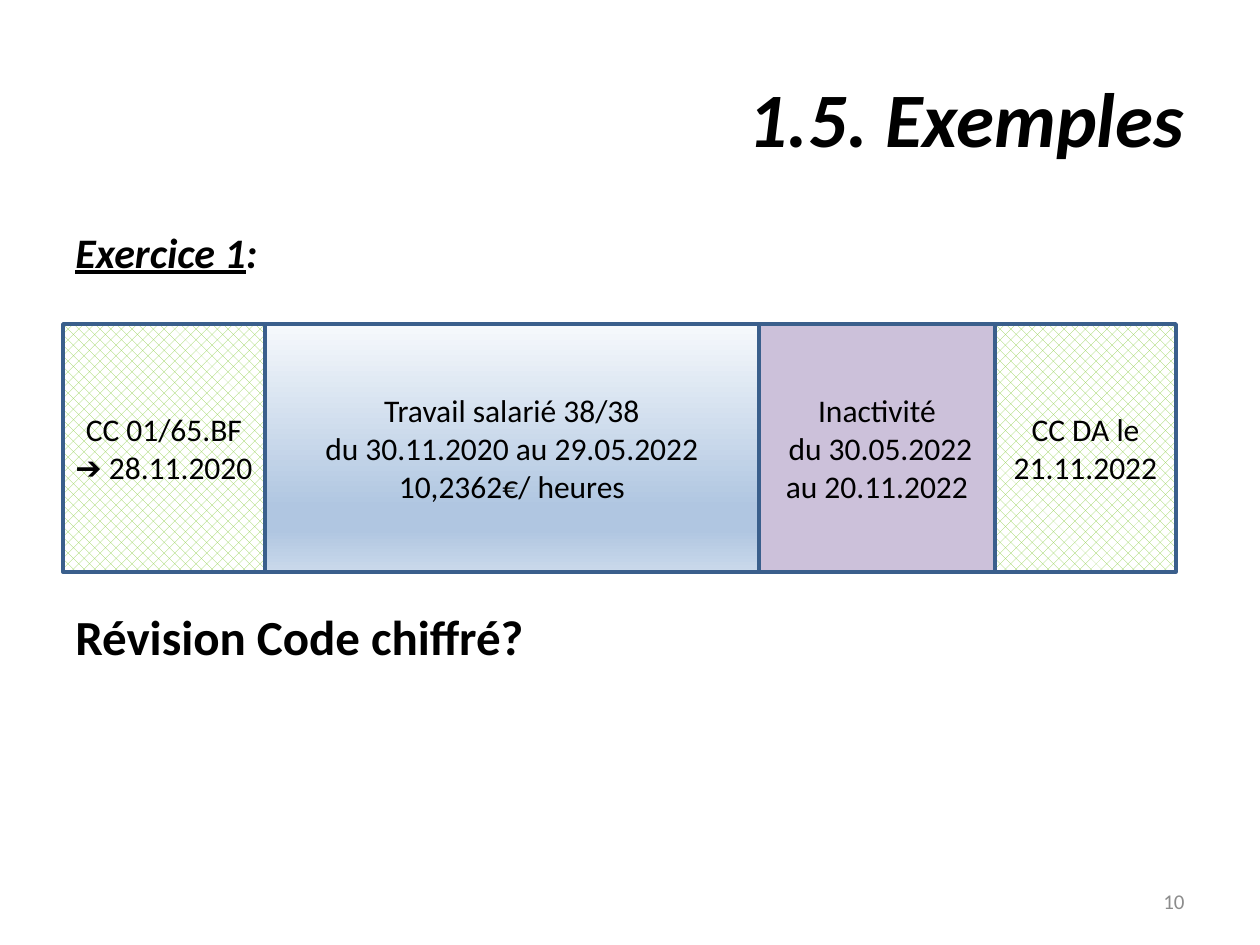
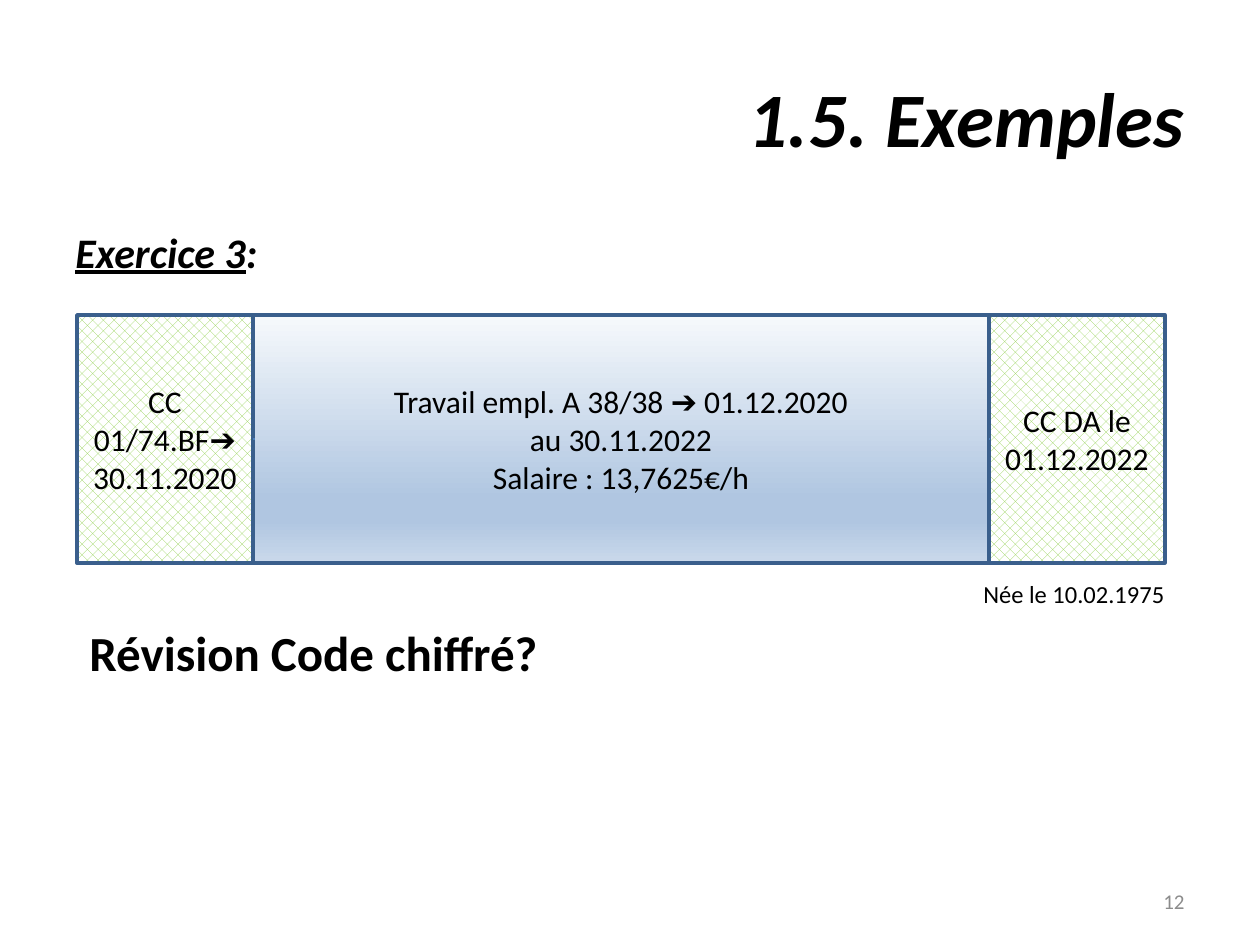
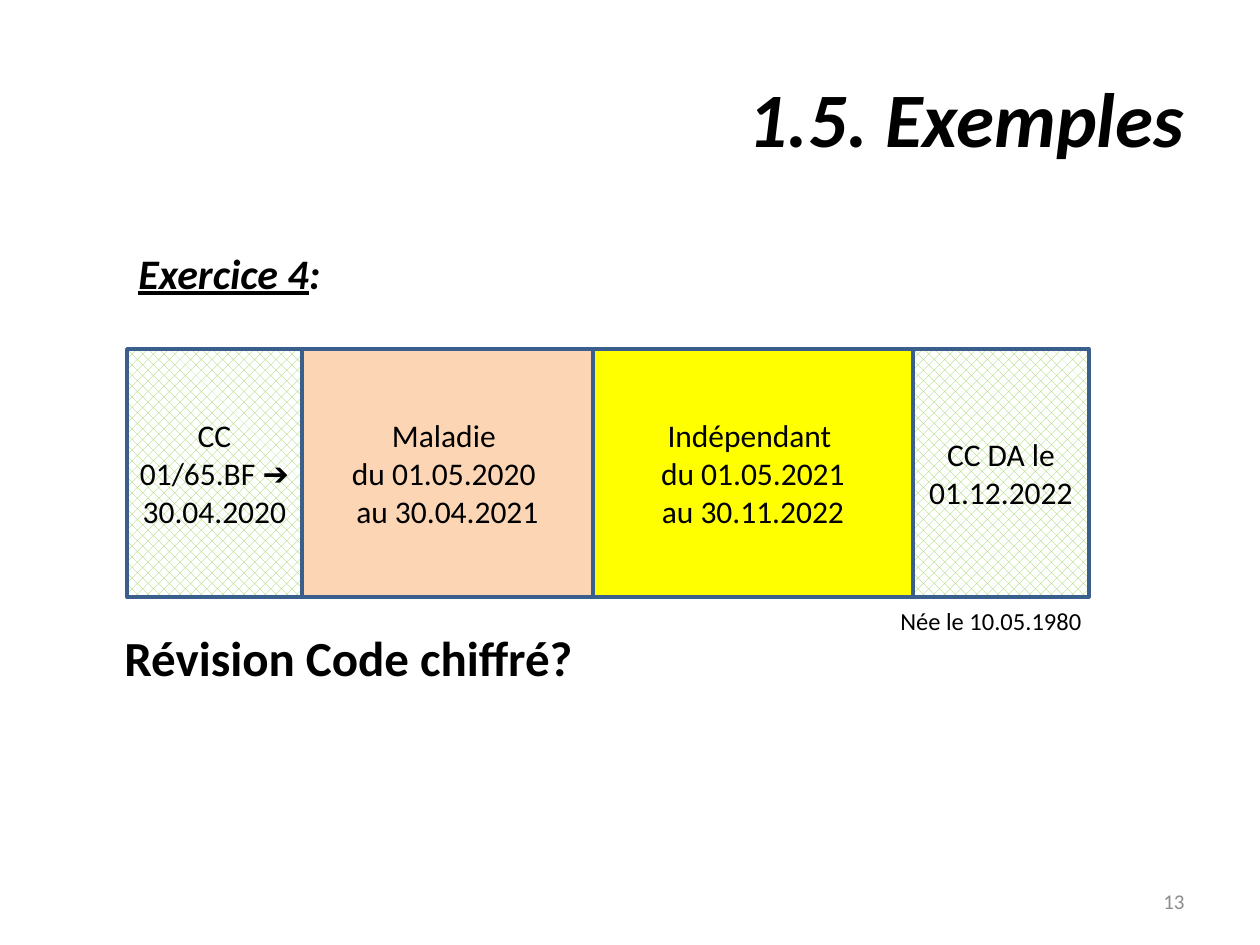
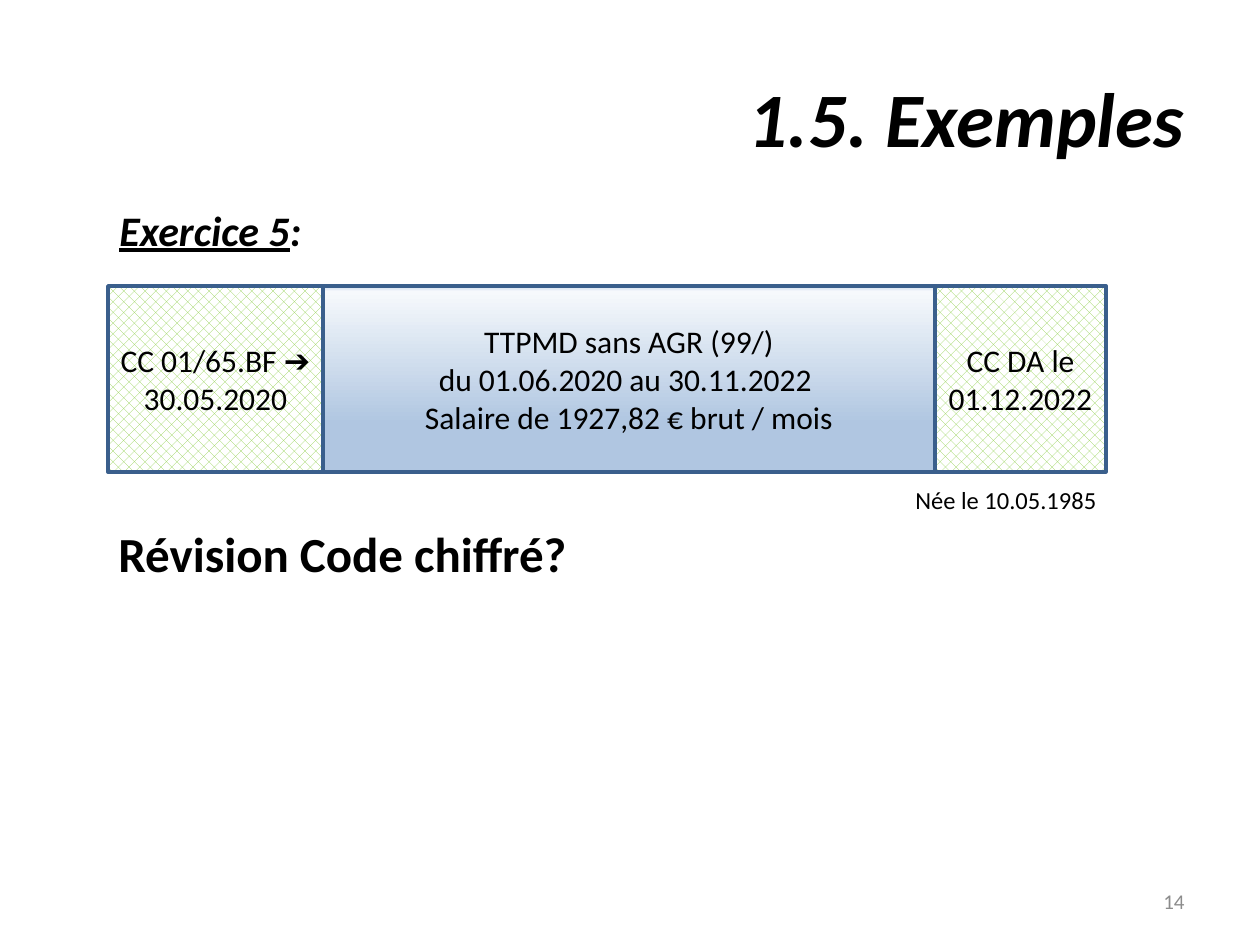
from lxml import etree
from pptx import Presentation
from pptx.dml.color import RGBColor
from pptx.enum.dml import MSO_PATTERN
from pptx.enum.shapes import MSO_CONNECTOR, MSO_SHAPE
from pptx.enum.text import MSO_ANCHOR, MSO_AUTO_SIZE, PP_ALIGN
from pptx.oxml.ns import qn
from pptx.util import Emu, Pt

RECTANGLE = MSO_SHAPE.RECTANGLE
STRAIGHT = MSO_CONNECTOR.STRAIGHT
WEAVE = MSO_PATTERN.WEAVE
TOP, MIDDLE = MSO_ANCHOR.TOP, MSO_ANCHOR.MIDDLE
LEFT, CENTER, RIGHT = PP_ALIGN.LEFT, PP_ALIGN.CENTER, PP_ALIGN.RIGHT
FIT = MSO_AUTO_SIZE.SHAPE_TO_FIT_TEXT

PX_PER_INCH = 126
LEFT_SIDE = 1
TITLE_ONLY = 5
FONT = "Calibri"
COLORS = {
    "text": "000000",
    "number": "8C8C8C",
    "border": "3A5F8C",
    "link": "4B7EBC",
    "weave": "92D050",
    "paper": "FFFFFF",
    "inactive": "CCC1DA",
    "sick": "FCD5B5",
    "self_employed": "FFFF00",
}
GRADIENTS = {
    "work": [(0, "F6F9FC"), (74, "B0C6E1"), (83, "B0C6E1"), (100, "CAD9EB")],
    "part_time": [(0, "CAD9EB"), (3, "F6F9FC"), (74, "B0C6E1"), (83, "B0C6E1")],
}


def px(length):
    return Emu(round(length * 914400 / PX_PER_INCH))


def color(name):
    return RGBColor.from_string(COLORS[name])


class ExerciseDeck:
    def __init__(self):
        self.deck = Presentation()
        self.deck.slide_width = px(1260)
        self.deck.slide_height = px(945)
        self.page = None

    def add_page(self, number):
        self.page = self.deck.slides.add_slide(self.deck.slide_layouts[TITLE_ONLY])
        title = self.page.shapes.title
        title.left, title.top, title.width, title.height = map(px, (63, 38, 1134, 157))
        title.text_frame.vertical_anchor = MIDDLE
        self.add_lines(title.text_frame, ["1.5. Exemples"], 44, RIGHT, bold=True, italic=True)
        self.text(903, 876, 294, 50, str(number), 12, RIGHT, MIDDLE, name="number")

    def span(self, para, text, size, name="text", bold=False, italic=False, underline=False):
        span = para.add_run()
        span.text = text
        font = span.font
        font.name, font.size = FONT, Pt(size)
        font.bold, font.italic, font.underline = bold, italic, underline
        font.color.rgb = color(name)

    def add_lines(self, frame, lines, size, align, **style):
        for index, line in enumerate(lines):
            para = frame.add_paragraph() if index else frame.paragraphs[0]
            para.alignment = align
            self.span(para, line, size, **style)

    def text_box(self, x, y, width, height, anchor=TOP, wrap=True):
        frame = self.page.shapes.add_textbox(*map(px, (x, y, width, height))).text_frame
        frame.word_wrap = wrap
        frame.vertical_anchor = anchor
        return frame

    def text(self, x, y, width, height, text, size, align=LEFT, anchor=TOP, **style):
        frame = self.text_box(x, y, width, height, anchor)
        if anchor == TOP:
            frame.auto_size = FIT
        self.add_lines(frame, [text], size, align, **style)

    def exercise(self, x, y, number):
        para = self.text_box(x, y, 209, 63, wrap=False).paragraphs[0]
        self.span(para, f"Exercice {number}", 24, bold=True, italic=True, underline=True)
        self.span(para, ":", 24, bold=True, italic=True)

    def question(self, x, y, width=518):
        self.text(x, y, width, 72, "Révision Code chiffré?", 28, bold=True)

    def birth(self, x, y, date):
        self.text(x, y, 226, 43, f"Née le {date}", 14)

    def paint(self, box, kind):
        fill = box.fill
        if kind == "weave":
            fill.patterned()
            fill.pattern = WEAVE
            fill.fore_color.rgb = color("weave")
            fill.back_color.rgb = color("paper")
        elif kind in GRADIENTS:
            fill.gradient()
            fill.gradient_angle = 270
            stops = box._element.spPr.find(qn("a:gradFill")).find(qn("a:gsLst"))
            stops.clear()
            for percent, value in GRADIENTS[kind]:
                stop = etree.SubElement(stops, qn("a:gs"), pos=str(percent * 1000))
                etree.SubElement(stop, qn("a:srgbClr"), val=value)
        else:
            fill.solid()
            fill.fore_color.rgb = color(kind)

    def period(self, x, y, width, height, kind, lines):
        box = self.page.shapes.add_shape(RECTANGLE, *map(px, (x, y, width, height)))
        box.shadow.inherit = False
        self.paint(box, kind)
        box.line.color.rgb = color("border")
        box.line.width = Pt(2)
        box.text_frame.word_wrap = True
        box.text_frame.vertical_anchor = MIDDLE
        self.add_lines(box.text_frame, lines, 18, CENTER)
        return box

    def timeline(self, x, y, periods, height=248):
        boxes = []
        for width, kind, *lines in periods:
            boxes.append(self.period(x, y, width, height, kind, lines))
            x += width
        return boxes

    def link(self, box, offset):
        y = box.top + box.height // 2
        line = self.page.shapes.add_connector(STRAIGHT, box.left + px(offset), y, box.left, y)
        line.end_connect(box, LEFT_SIDE)
        line.line.color.rgb = color("link")
        line.line.width = Pt(0.75)
        etree.SubElement(line._element.spPr, qn("a:effectLst"))


def main():
    show = ExerciseDeck()

    show.add_page(10)
    show.exercise(63, 220, 1)
    show.timeline(63, 324, [
        (202, "weave", "CC 01/65.BF ➔ 28.11.2020"),
        (494, "work", "Travail salarié 38/38", "du 30.11.2020 au 29.05.2022",
         "10,2362€/ heures"),
        (236, "inactive", "Inactivité", " du 30.05.2022 au 20.11.2022"),
        (181, "weave", "CC DA le 21.11.2022"),
    ])
    show.question(63, 600)

    show.add_page(12)
    show.exercise(63, 220, 3)
    before, work, after = show.timeline(77, 315, [
        (176, "weave", "CC 01/74.BF➔30.11.2020"),
        (736, "work", "Travail empl. A 38/38 ➔ 01.12.2020", "au 30.11.2022",
         "Salaire : 13,7625€/h"),
        (176, "weave", "CC DA le 01.12.2022"),
    ])
    show.link(work, 2)
    show.link(after, 1)
    show.birth(971, 573, "10.02.1975")
    show.question(77, 616, 712)

    show.add_page(13)
    show.timeline(127, 349, [
        (175, "weave", "CC 01/65.BF ➔", "30.04.2020"),
        (291, "sick", "Maladie ", "du 01.05.2020 ", "au 30.04.2021"),
        (320, "self_employed", "Indépendant ", "du 01.05.2021", "au 30.11.2022"),
        (176, "weave", "CC DA le 01.12.2022"),
    ])
    show.exercise(126, 241, 4)
    show.birth(888, 600, "10.05.1980")
    show.question(112, 621)

    show.add_page(14)
    show.timeline(108, 286, [
        (215, "weave", "CC 01/65.BF ➔ 30.05.2020"),
        (612, "part_time", "TTPMD sans AGR (99/)", "du 01.06.2020 au 30.11.2022 ",
         "Salaire de 1927,82 € brut / mois"),
        (171, "weave", "CC DA le 01.12.2022"),
    ], height=186)
    show.exercise(107, 198, 5)
    show.question(106, 517)
    show.birth(903, 479, "10.05.1985")

    show.deck.save("out.pptx")


if __name__ == "__main__":
    main()
